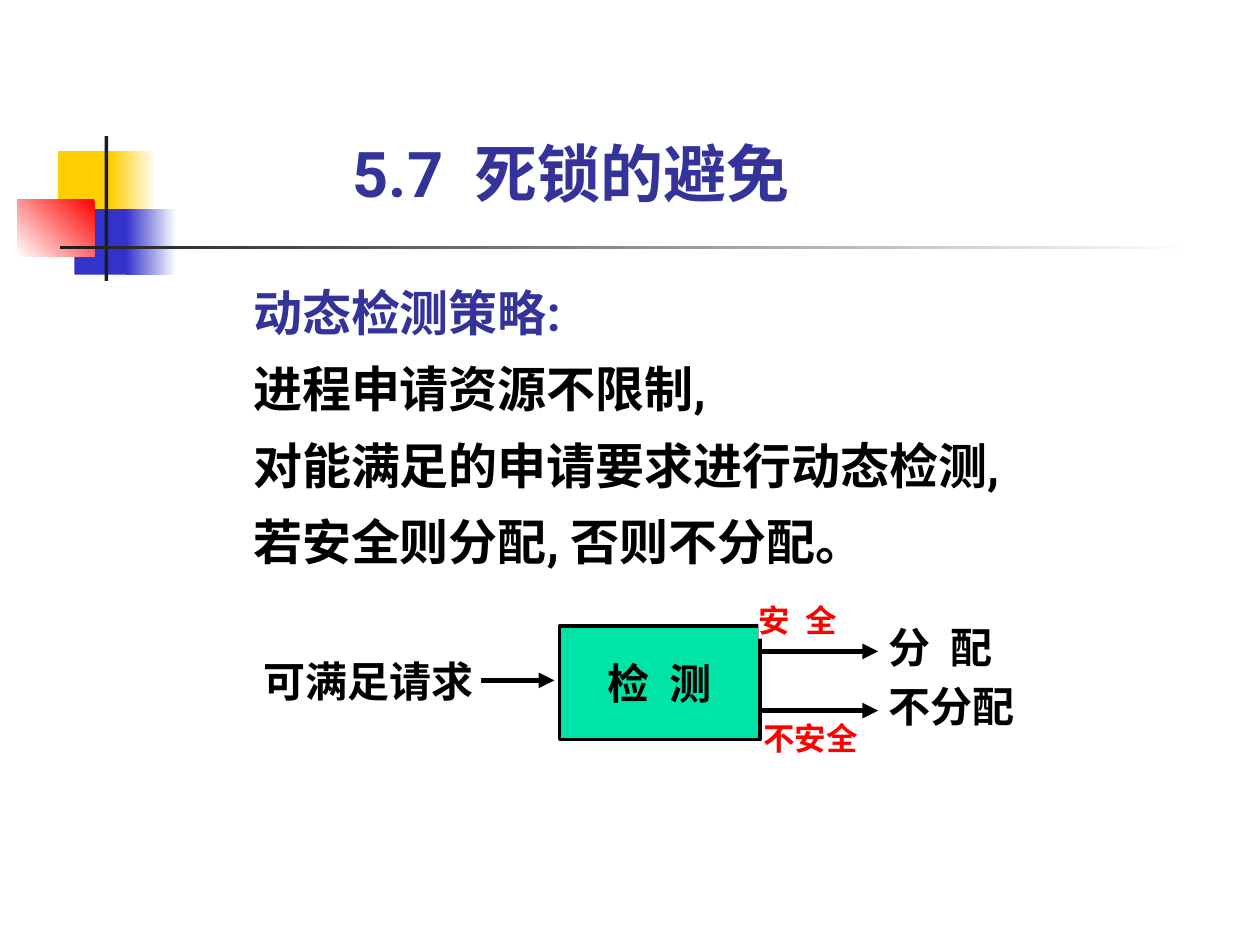
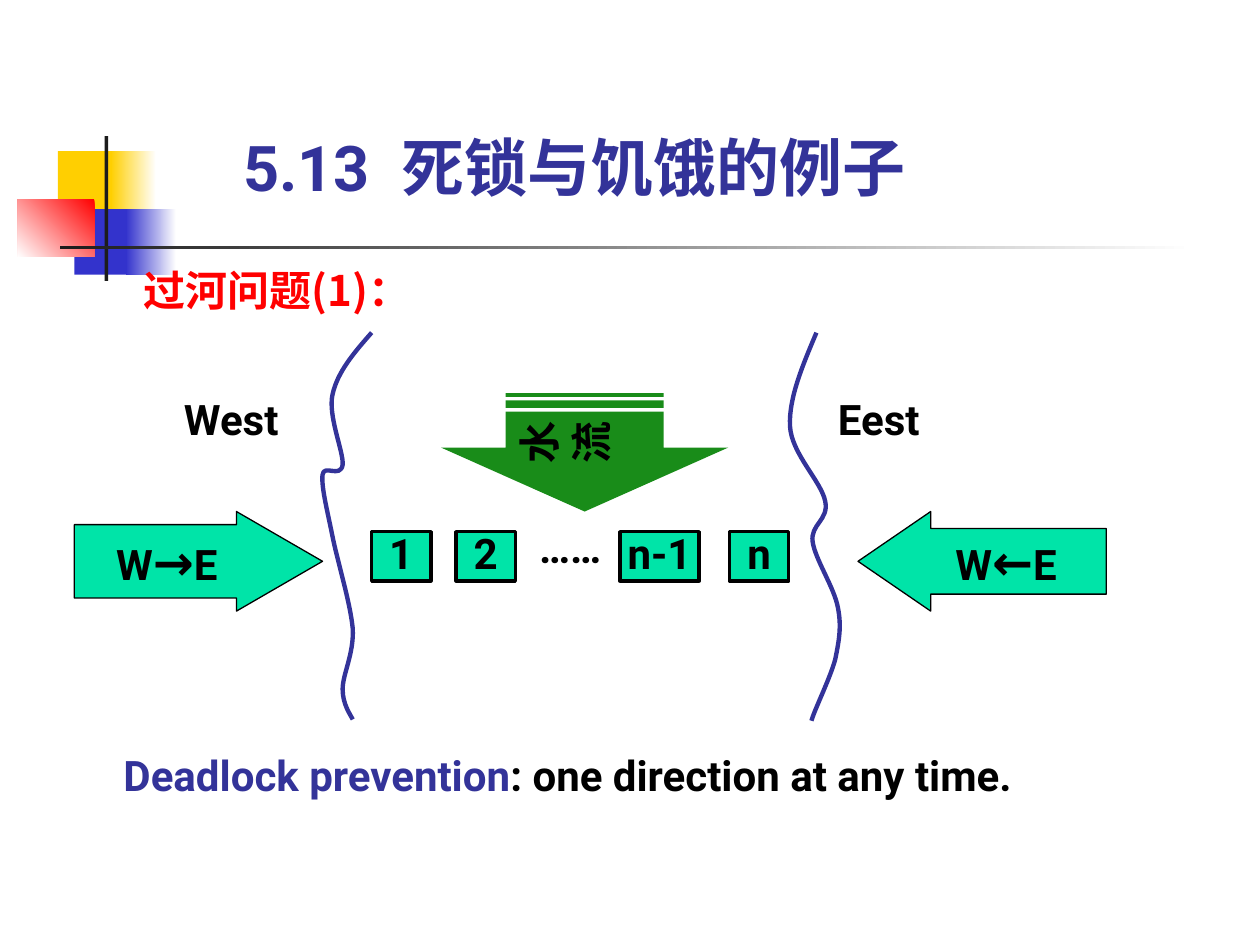
from dataclasses import dataclass
from typing import Optional

from lxml import etree
from pptx import Presentation
from pptx.dml.color import RGBColor
from pptx.enum.shapes import MSO_CONNECTOR, MSO_SHAPE
from pptx.enum.text import MSO_ANCHOR, MSO_AUTO_SIZE, PP_ALIGN
from pptx.oxml.ns import qn
from pptx.util import Inches, Pt

RECTANGLE = MSO_SHAPE.RECTANGLE
RIGHT_ARROW = MSO_SHAPE.RIGHT_ARROW
LEFT_ARROW = MSO_SHAPE.LEFT_ARROW
STRIPED_ARROW = MSO_SHAPE.STRIPED_RIGHT_ARROW
STRAIGHT = MSO_CONNECTOR.STRAIGHT
TOP, MIDDLE, BOTTOM = MSO_ANCHOR.TOP, MSO_ANCHOR.MIDDLE, MSO_ANCHOR.BOTTOM
LEFT, CENTER = PP_ALIGN.LEFT, PP_ALIGN.CENTER
GROW, FIXED = MSO_AUTO_SIZE.SHAPE_TO_FIT_TEXT, MSO_AUTO_SIZE.NONE

BLACK = RGBColor(0x00, 0x00, 0x00)
WHITE = RGBColor(0xFF, 0xFF, 0xFF)
RED = RGBColor(0xFF, 0x00, 0x00)
INDIGO = RGBColor(0x33, 0x33, 0x99)
BLUE = RGBColor(0x33, 0x33, 0xCC)
YELLOW = RGBColor(0xFF, 0xCF, 0x01)
CHARCOAL = RGBColor(0x1C, 0x1C, 0x1C)
MINT = RGBColor(0x00, 0xE4, 0xA8)
GREEN = RGBColor(0x00, 0x80, 0x00)

ROBOTO = "Roboto"
NOTO = "Noto Sans CJK SC"
TIMES = "Times New Roman"

Box = tuple[float, float, float, float]
Point = tuple[float, float]


@dataclass
class Run:
    text: str
    size: int = 24
    color: RGBColor = BLACK
    font: str = ROBOTO
    tracking: float = 0


@dataclass
class Block:
    box: Box
    lines: list[list[Run]]
    preset: Optional[MSO_SHAPE] = None
    fill: Optional[RGBColor] = None
    border: float = 0
    adjustments: tuple[float, ...] = ()
    anchor: MSO_ANCHOR = TOP
    align: PP_ALIGN = LEFT
    spacing: float = 1.0
    insets: Box = (0, 0, 0, 0)
    wrap: bool = True
    fit: MSO_AUTO_SIZE = GROW


@dataclass
class Ornament:
    box: Box
    color: RGBColor
    fade_to: Optional[RGBColor] = None
    angle: float = 180


ORNAMENTS = [
    Ornament((0.46, 1.2, 0.48, 0.52), YELLOW),
    Ornament((0.88, 1.2, 0.36, 0.52), WHITE, YELLOW),
    Ornament((0.59, 1.66, 0.46, 0.52), BLUE),
    Ornament((1, 1.66, 0.4, 0.52), WHITE, BLUE),
    Ornament((0.14, 1.58, 0.61, 0.46), RED, WHITE, 225),
    Ornament((0.83, 1.08, 0.03, 1.15), CHARCOAL),
    Ornament((0.48, 1.95, 9, 0.03), WHITE, CHARCOAL),
]

WEST_BANK = [
    (2.95, 2.64), (2.81, 2.8), (2.68, 2.95), (2.64, 3.13), (2.6, 3.3), (2.73, 3.59),
    (2.72, 3.69), (2.7, 3.8), (2.57, 3.68), (2.56, 3.77), (2.55, 3.87), (2.6, 4.06),
    (2.64, 4.26), (2.68, 4.46), (2.78, 4.78), (2.8, 4.99), (2.81, 5.19), (2.72, 5.35),
    (2.72, 5.47), (2.72, 5.59), (2.78, 5.67), (2.8, 5.71),
]
EAST_BANK = [
    (6.48, 2.64), (6.37, 2.9), (6.26, 3.16), (6.27, 3.38), (6.28, 3.6), (6.52, 3.82),
    (6.55, 3.98), (6.58, 4.13), (6.43, 4.16), (6.45, 4.3), (6.47, 4.44), (6.62, 4.66),
    (6.65, 4.82), (6.68, 4.97), (6.66, 5.08), (6.63, 5.23), (6.59, 5.38), (6.47, 5.62),
    (6.44, 5.72),
]


def inches(values: tuple[float, ...]) -> list[Inches]:
    return [Inches(value) for value in values]


def spaced(first: str, second: str, **style) -> list[Run]:
    size = style.get("size", 24)
    return [Run(first, **style), Run(" ", tracking=size / 4, **style), Run(second, **style)]


def write_run(paragraph, item: Run) -> None:
    run = paragraph.add_run()
    run.text = item.text
    formats = {"name": item.font, "size": Pt(item.size), "bold": True}
    for name, value in formats.items():
        setattr(run.font, name, value)
    run.font.color.rgb = item.color
    properties = run.font._element
    etree.SubElement(properties, qn("a:ea")).set("typeface", NOTO)
    if item.tracking:
        properties.set("spc", str(round(item.tracking * 100)))


def draw_block(slide, block: Block):
    if block.preset is None:
        shape = slide.shapes.add_textbox(*inches(block.box))
    else:
        shape = slide.shapes.add_shape(block.preset, *inches(block.box))
        shape.shadow.inherit = False
        shape.fill.solid()
        shape.fill.fore_color.rgb = block.fill
        if block.border:
            shape.line.color.rgb = BLACK
            shape.line.width = Pt(block.border)
        else:
            shape.line.fill.background()
        for index, value in enumerate(block.adjustments):
            shape.adjustments[index] = value
    frame = shape.text_frame
    left, top, right, bottom = inches(block.insets)
    formats = {
        "margin_left": left, "margin_top": top, "margin_right": right,
        "margin_bottom": bottom, "vertical_anchor": block.anchor,
        "word_wrap": block.wrap, "auto_size": block.fit,
    }
    for name, value in formats.items():
        setattr(frame, name, value)
    for index, line in enumerate(block.lines):
        paragraph = frame.add_paragraph() if index else frame.paragraphs[0]
        paragraph.alignment = block.align
        paragraph.line_spacing = block.spacing
        for item in line:
            write_run(paragraph, item)
    return shape


def draw_ornament(slide, ornament: Ornament) -> None:
    shape = slide.shapes.add_shape(RECTANGLE, *inches(ornament.box))
    shape.shadow.inherit = False
    shape.line.fill.background()
    if ornament.fade_to is None:
        shape.fill.solid()
        shape.fill.fore_color.rgb = ornament.color
        return
    shape.fill.gradient()
    shape.fill.gradient_angle = ornament.angle
    for stop, color in zip(shape.fill.gradient_stops, (ornament.color, ornament.fade_to)):
        stop.color.rgb = color


def draw_arrow(slide, start: Point, end: Point) -> None:
    connector = slide.shapes.add_connector(STRAIGHT, *inches(start + end))
    connector.line.color.rgb = BLACK
    connector.line.width = Pt(3)
    etree.SubElement(connector.line._get_or_add_ln(), qn("a:tailEnd")).set("type", "triangle")
    etree.SubElement(connector._element.spPr, qn("a:effectLst"))


def draw_bank(slide, points: list[Point]) -> None:
    emu_points = [tuple(inches(point)) for point in points]
    builder = slide.shapes.build_freeform(*emu_points[0])
    builder.add_line_segments(emu_points[1:], close=False)
    shape = builder.convert_to_shape()
    shape.shadow.inherit = False
    shape.fill.background()
    shape.line.color.rgb = INDIGO
    shape.line.width = Pt(2.5)
    outline = shape._element.find(".//" + qn("a:path"))
    outline.set("fill", "none")
    segments = outline.findall(qn("a:lnTo"))
    for index in range(0, len(segments), 3):
        curve = etree.SubElement(outline, qn("a:cubicBezTo"))
        for segment in segments[index:index + 3]:
            curve.append(segment[0])
            outline.remove(segment)


def draw_current(slide) -> None:
    shape = draw_block(slide, Block(
        (4.17, 2.45, 0.94, 2.28), [[Run("水 流")]], STRIPED_ARROW, GREEN,
        adjustments=(0.55, 0.54), anchor=MIDDLE, align=CENTER,
        insets=(0.05, 0.1, 0.05, 0.1), wrap=False, fit=FIXED))
    shape.rotation = 90
    body = shape.text_frame._txBody.bodyPr
    body.set("vert", "eaVert")
    body.set("rot", "10800000")
    color = shape._element.spPr.find(qn("a:solidFill"))[0]
    etree.SubElement(color, qn("a:alpha")).set("val", "90000")


def start_slide(presentation, title_box: Box, number: str, title: str):
    slide = presentation.slides.add_slide(presentation.slide_layouts[6])
    for ornament in ORNAMENTS:
        draw_ornament(slide, ornament)
    heading = spaced(number, title, size=36, color=INDIGO)
    draw_block(slide, Block(title_box, [heading], anchor=BOTTOM))
    return slide


def build_avoidance(presentation) -> None:
    slide = start_slide(presentation, (2.8, 1.07, 4.02, 0.6), "5.7", "死锁的避免")
    strategy = [
        [Run("动态检测策略:", 28, INDIGO)],
        [Run("进程申请资源不限制,", 28)],
        [Run("对能满足的申请要求进行动态检测,", 28)],
        [Run("若安全则分配, 否则不分配。", 28)],
    ]
    draw_block(slide, Block((2.01, 2.1, 6.46, 2.43), strategy, spacing=1.3))
    draw_arrow(slide, (3.82, 5.4), (4.4, 5.4))
    for y in (5.17, 5.64):
        draw_arrow(slide, (6.03, y), (6.97, y))
    outcome_insets = (0.08, 0, 0, 0)
    blocks = [
        Block((2.09, 5.2, 1.73, 0.4), [[Run("可满足请求", font=TIMES)]], RECTANGLE, WHITE),
        Block((6.97, 4.93, 1.34, 0.4), [spaced("分", "配", font=NOTO)],
              RECTANGLE, WHITE, insets=outcome_insets),
        Block((6.97, 5.4, 1.18, 0.4), [[Run("不分配", font=TIMES)]],
              RECTANGLE, WHITE, insets=outcome_insets),
        Block((6.06, 5.71, 0.83, 0.3), [[Run("不安全", 18, RED, TIMES)]], RECTANGLE, WHITE),
        Block((4.44, 4.97, 1.59, 0.9), [spaced("检", "测", font=NOTO)], RECTANGLE, MINT, 2,
              anchor=MIDDLE, align=CENTER, insets=(0.1, 0.25, 0.1, 0.25)),
        Block((6.02, 4.77, 0.87, 0.3), [spaced("安", "全", size=18, color=RED, font=NOTO)],
              RECTANGLE, WHITE),
    ]
    for block in blocks:
        draw_block(slide, block)


def build_river(presentation) -> None:
    slide = start_slide(presentation, (1.93, 1.02, 5.75, 0.6), "5.13", "死锁与饥饿的例子")
    draw_block(slide, Block((1.14, 2.1, 2.6, 0.4), [[Run("过河问题(1)：", color=RED, font=NOTO)]]))
    stones = [("1", 2.95, 0.47), ("2", 3.62, 0.47), ("n-1", 4.92, 0.63), ("n", 5.79, 0.47)]
    for name, left, width in stones:
        draw_block(slide, Block(
            (left, 4.22, width, 0.39), [[Run(name)]], RECTANGLE, MINT, 2, align=CENTER,
            spacing=0.8, insets=(0, 0.04, 0, 0), wrap=False, fit=FIXED))
    draw_block(slide, Block((4.21, 4.22, 0.63, 0.39), [[Run("……")]], align=CENTER,
                            spacing=0.8, wrap=False, fit=FIXED))
    draw_current(slide)
    for bank in (WEST_BANK, EAST_BANK):
        draw_bank(slide, bank)
    crossings = [
        (RIGHT_ARROW, 0.59, "→", (0.736, 0.864)),
        (LEFT_ARROW, 6.81, "←", (0.66, 0.73)),
    ]
    for preset, left, symbol, adjustments in crossings:
        draw_block(slide, Block(
            (left, 4.06, 1.97, 0.79), [[Run("W"), Run(symbol, 28), Run("E")]], preset, MINT,
            0.75, adjustments, MIDDLE, CENTER, insets=(0.1, 0.05, 0.1, 0.05),
            wrap=False, fit=FIXED))
    for side, left in (("West", 1.46), ("Eest", 6.65)):
        draw_block(slide, Block((left, 3.2, 1.1, 0.32), [[Run(side)]], spacing=0.8))
    rule = [Run("Deadlock prevention", color=INDIGO), Run(": one direction at any time.")]
    draw_block(slide, Block((0.98, 5.95, 8.35, 0.4), [rule]))


def main() -> None:
    presentation = Presentation()
    presentation.slide_width = Inches(10)
    presentation.slide_height = Inches(7.5)
    build_avoidance(presentation)
    build_river(presentation)
    presentation.save("out.pptx")


if __name__ == "__main__":
    main()
